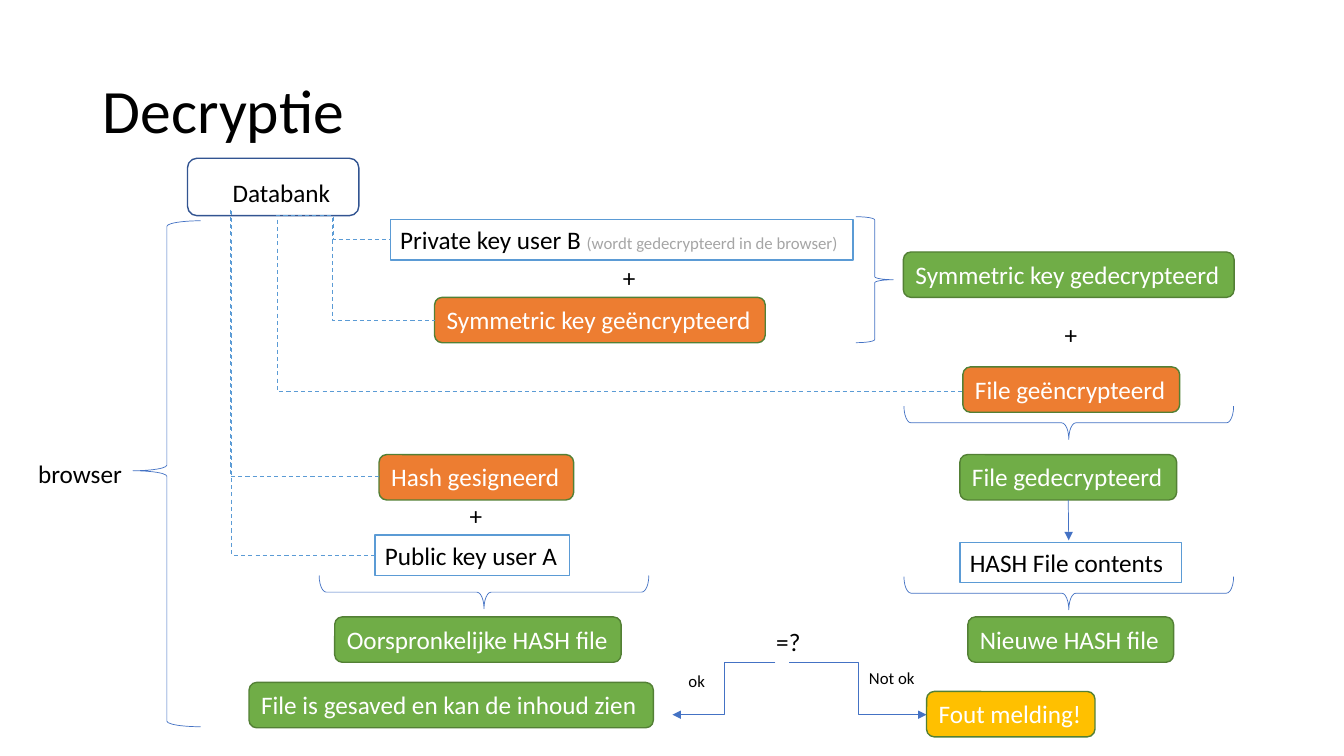
from dataclasses import dataclass

from lxml import etree
from pptx import Presentation
from pptx import util as u
from pptx.dml import color
from pptx.enum import dml, shapes, text
from pptx.oxml import ns

ROUND = shapes.MSO_SHAPE.ROUNDED_RECTANGLE
RECT = shapes.MSO_SHAPE.RECTANGLE


@dataclass(frozen=True)
class Theme:
    """Colours, font and sizes of the deck."""
    font: str = "Calibri"
    title: int = 44
    body: int = 18
    small: int = 12
    black: str = "000000"
    white: str = "FFFFFF"
    grey: str = "A5A5A5"
    green: str = "70AD47"
    orange: str = "ED7D31"
    yellow: str = "FFC000"
    edge: str = "538035"
    sky: str = "5B9BD5"
    blue: str = "4472C4"
    navy: str = "325491"
    chip_height: float = 0.45
    label_height: float = 0.4


THEME = Theme()


def rgb(value):
    """Turn a hex string into a colour."""
    return color.RGBColor.from_string(value)


def write(shape, words, size=THEME.body, colour=THEME.black):
    """Add a formatted run to the first paragraph of a shape."""
    para = shape.text_frame.paragraphs[0]
    para.alignment = text.PP_ALIGN.LEFT
    span = para.add_run()
    span.text = words
    span.font.name = THEME.font
    span.font.size = u.Pt(size)
    span.font.color.rgb = rgb(colour)
    return para


def fit(shape):
    """Let a shape follow its single line of text."""
    frame = shape.text_frame
    frame.word_wrap = False
    frame.auto_size = text.MSO_AUTO_SIZE.SHAPE_TO_FIT_TEXT
    frame.vertical_anchor = text.MSO_ANCHOR.TOP


def label(page, words, left, top, width, height=THEME.label_height, size=THEME.body):
    """Place plain text."""
    box = page.shapes.add_textbox(*map(u.Inches, (left, top, width, height)))
    fit(box)
    write(box, words, size=size)


def outline(page, kind, left, top, width, height, line, weight, fill=None):
    """Place a preset shape with a line and an optional fill."""
    shape = page.shapes.add_shape(kind, *map(u.Inches, (left, top, width, height)))
    shape.shadow.inherit = False
    shape.line.color.rgb = rgb(line)
    shape.line.width = u.Pt(weight)
    if fill:
        shape.fill.solid()
        shape.fill.fore_color.rgb = rgb(fill)
    else:
        shape.fill.background()
    return shape


def chip(page, words, left, top, width, fill=THEME.green):
    """Place a coloured rounded box with white text."""
    box = outline(page, ROUND, left, top, width, THEME.chip_height, THEME.edge, 1, fill)
    fit(box)
    write(box, words, colour=THEME.white)
    return box


def card(page, words, left, top, width):
    """Place a white box with black text."""
    box = outline(page, RECT, left, top, width, THEME.label_height, THEME.sky, 1, THEME.white)
    fit(box)
    write(box, words)
    return box


def brace(page, left, top, width, height, rotation=0, curve=0.083, tip=0.5):
    """Place a brace, turned around its centre."""
    shape = outline(page, shapes.MSO_SHAPE.RIGHT_BRACE, left, top, width, height, THEME.blue, 0.5)
    shape.rotation = rotation
    shape.adjustments[0] = curve
    shape.adjustments[1] = tip


def brace_below(page, centre, top):
    """Place a downward brace around a centre line."""
    depth, span = 0.33, 3.27
    brace(page, centre - depth / 2, top + (depth - span) / 2, depth, span, 90, curve=0.215)


def join(page, start, end, kind=shapes.MSO_CONNECTOR.ELBOW, bend=None, dashed=False):
    """Draw a dashed link or an arrow between two points."""
    link = page.shapes.add_connector(kind, *map(u.Inches, (*start, *end)))
    link.line.color.rgb = rgb(THEME.sky if dashed else THEME.blue)
    link.line.width = u.Pt(0.75 if dashed else 0.5)
    properties = link._element.spPr
    if dashed:
        link.line.dash_style = dml.MSO_LINE.DASH
    else:
        etree.SubElement(properties.find(ns.qn("a:ln")), ns.qn("a:tailEnd"), type="triangle")
    if bend is not None:
        guides = properties.find(ns.qn("a:prstGeom")).find(ns.qn("a:avLst"))
        etree.SubElement(guides, ns.qn("a:gd"), name="adj1", fmla=f"val {round(bend * 100000)}")
    etree.SubElement(properties, ns.qn("a:effectLst"))
    return link


def heading(page, words, left, top, width, height):
    """Format the title placeholder."""
    title = page.shapes.title
    title.left, title.top, title.width, title.height = map(u.Inches, (left, top, width, height))
    title.text_frame.vertical_anchor = text.MSO_ANCHOR.MIDDLE
    write(title, words, size=THEME.title).line_spacing = 0.9


def database(page, left, top):
    """Place the database and its links to the stored items."""
    label(page, "Databank", left + 0.35, top + 0.14, 1.3)
    outline(page, ROUND, left, top, 1.7, 0.57, THEME.navy, 1)
    join(page, (left + 0.88, top + 0.57), (left + 2.01, top + 0.81), dashed=True)
    drops = [(0.89, 0.61, 7.69, 2.31), (0.43, 0.51, 1.9, 3.16),
             (1.44, 0.59, 2.45, 1.61), (0.44, 0.52, 1.86, 3.94)]
    for start, begin, end, finish in drops:
        join(page, (left + start, top + begin), (left + end, top + finish), bend=0, dashed=True)


def browser(page, left, top):
    """Place the browser label and its tall brace."""
    label(page, "browser", left, top + 2.31, 1.04)
    brace(page, left + 1.04, top, 0.67, 5.02, 180, tip=0.506)


def symmetric_key(page, left, top):
    """Place the private key and the encrypted symmetric key."""
    private = card(page, "Private key user B ", left, top, 4.59)
    write(private, "(wordt gedecrypteerd in de browser)", size=THEME.small, colour=THEME.grey)
    label(page, "+", left + 2.21, top + 0.37, 0.33)
    chip(page, "Symmetric key geëncrypteerd", left + 0.44, top + 0.77, 3.28, THEME.orange)
    brace(page, left + 4.62, top - 0.03, 0.37, 1.25)


def file_column(page, left, top):
    """Place the steps from symmetric key to new hash."""
    centre = left + 1.64
    chip(page, "Symmetric key gedecrypteerd", left, top, 3.28)
    label(page, "+", left + 1.5, top + 0.62, 0.33)
    chip(page, "File geëncrypteerd", left + 0.59, top + 1.14, 2.15, THEME.orange)
    brace_below(page, centre, top + 1.53)
    opened = chip(page, "File gedecrypteerd", left + 0.56, top + 2.01, 2.15)
    card(page, "HASH File contents", left + 0.56, top + 2.88, 2.2)
    arrow = join(page, (centre, top + 2.46), (centre, top + 2.86), shapes.MSO_CONNECTOR.STRAIGHT)
    arrow.begin_connect(opened, 2)
    brace_below(page, centre, top + 3.22)
    chip(page, "Nieuwe HASH file", left + 0.64, top + 3.62, 2.04)


def hash_column(page, left, top):
    """Place the steps from signed hash to first hash."""
    chip(page, "Hash gesigneerd", left + 0.44, top, 1.93, THEME.orange)
    label(page, "+", left + 1.24, top + 0.4, 0.33)
    card(page, "Public key user A", left + 0.4, top + 0.8, 1.93)
    brace_below(page, left + 1.48, top + 1.2)
    chip(page, "Oorspronkelijke HASH file", left, top + 1.61, 2.84)


def comparison(page, left, top):
    """Place the hash comparison and its two outcomes."""
    label(page, "=?", left + 5.13, top, 0.45)
    for start, end in ((5.36, 6.72), (5.22, 4.2)):
        join(page, (left + start, top + 0.41), (left + end, top + 0.93))
    label(page, "Not ok", left + 6.05, top + 0.42, 0.66, 0.3, THEME.small)
    label(page, "ok", left + 4.26, top + 0.45, 0.37, 0.3, THEME.small)
    chip(page, "File is gesaved en kan de inhoud zien", left, top + 0.61, 4.01)
    chip(page, "Fout melding!", left + 6.72, top + 0.7, 1.67, THEME.yellow)


def main():
    """Build and save the deck."""
    deck = Presentation()
    deck.slide_width, deck.slide_height = u.Inches(13.33), u.Inches(7.5)
    page = deck.slides.add_slide(deck.slide_layouts[5])
    heading(page, "Decryptie", 0.92, 0.4, 11.5, 1.45)
    symmetric_key(page, 3.87, 2.18)
    file_column(page, 8.96, 2.5)
    hash_column(page, 3.32, 4.51)
    comparison(page, 2.47, 6.16)
    database(page, 1.86, 1.57)
    browser(page, 0.28, 2.19)
    deck.save("out.pptx")


if __name__ == "__main__":
    main()
